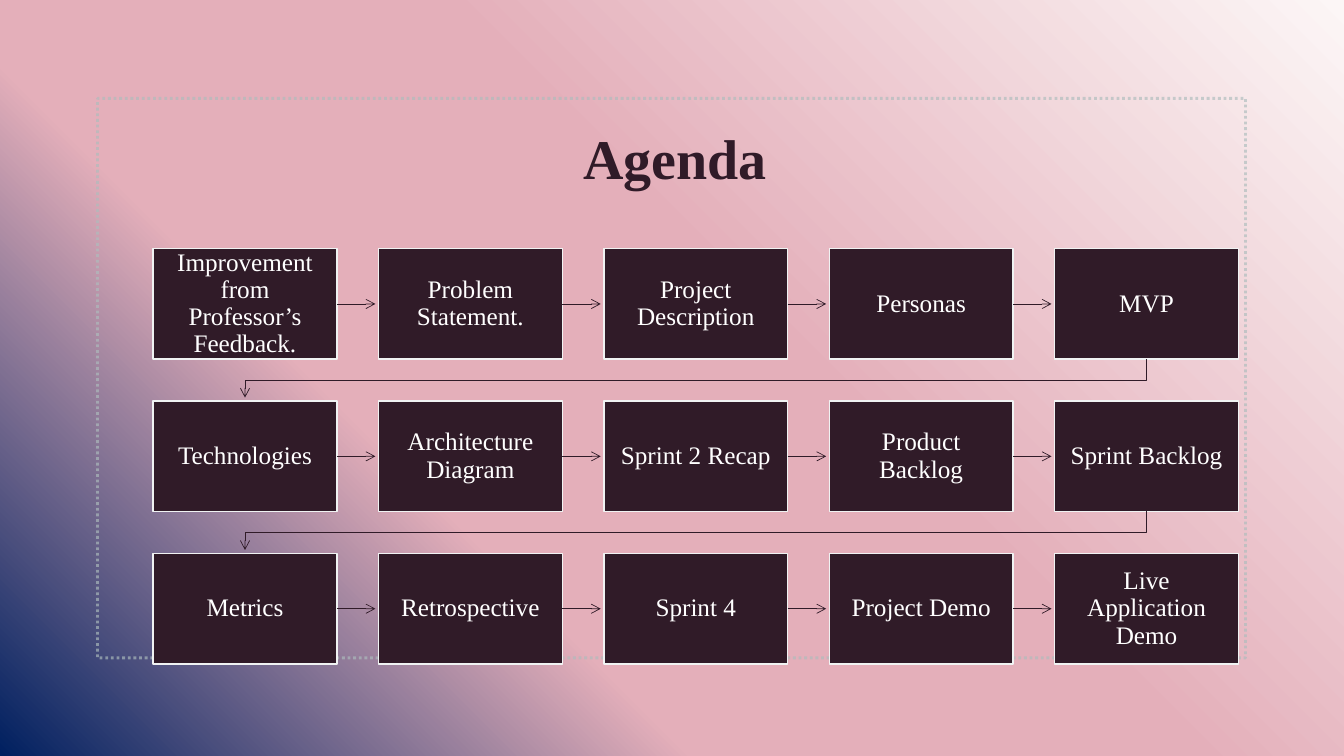
from copy import deepcopy

from pptx import Presentation
from pptx.dml.color import RGBColor
from pptx.enum.dml import MSO_LINE_DASH_STYLE as Dash
from pptx.enum.shapes import MSO_CONNECTOR as Connector, MSO_SHAPE as Shape
from pptx.enum.text import MSO_ANCHOR as Anchor, PP_ALIGN as Align
from pptx.oxml.ns import qn
from pptx.util import Cm, Pt
from lxml.etree import SubElement

PLUM = RGBColor(0x30, 0x1B, 0x28)
WHITE = RGBColor(0xFF, 0xFF, 0xFF)
PALE = RGBColor(0xF0, 0xF3, 0xF3)
GREY = RGBColor(0xAD, 0xBD, 0xBD)
CREAM = RGBColor(0xFC, 0xF6, 0xF6)
ROSE = RGBColor(0xE4, 0xAF, 0xBA)
NAVY = RGBColor(0x00, 0x20, 0x60)

AGENDA = [
    ["Improvement from Professor’s Feedback.", "Problem Statement.",
     "Project Description", "Personas", "MVP"],
    ["Technologies", "Architecture Diagram", "Sprint 2 Recap",
     "Product Backlog", "Sprint Backlog"],
    ["Metrics", "Retrospective", "Sprint 4", "Project Demo",
     "Live Application Demo"],
]
LEFT, TOP = 3.86, 6.27
WIDTH, HEIGHT = 4.63, 2.78
COLUMN_STEP, ROW_STEP = 5.68, 3.84
ARROW_LENGTH, ELBOW_DROP = 0.97, 0.53


def write(shape, text, size=18, color=WHITE, bold=False, inset=0.23, spacing=0.9):
    frame = shape.text_frame
    frame.word_wrap = True
    frame.vertical_anchor = Anchor.MIDDLE
    frame.margin_left = frame.margin_right = Cm(inset)
    frame.margin_top = frame.margin_bottom = Cm(inset)
    paragraph = frame.paragraphs[0]
    paragraph.alignment = Align.CENTER
    paragraph.line_spacing = spacing
    run = paragraph.add_run()
    run.text = text
    run.font.name = "Times New Roman"
    run.font.size = Pt(size)
    run.font.bold = bold
    run.font.color.rgb = color


class AgendaSlide:
    """Draws the agenda's elements on one slide in a shared style."""

    def __init__(self, slide):
        self.slide = slide
        self.shapes = slide.shapes

    def background(self, stops, angle):
        fill = self.slide.background.fill
        fill.gradient()
        fill.gradient_angle = angle
        stop_list = self.slide.element.find(".//" + qn("a:gsLst"))
        while len(stop_list) < len(stops):
            stop_list.append(deepcopy(stop_list[0]))
        for stop, (position, color) in zip(fill.gradient_stops, stops):
            stop.position = position
            stop.color.rgb = color

    def frame(self, left, top, width, height):
        shape = self.shapes.add_shape(
            Shape.RECTANGLE, Cm(left), Cm(top), Cm(width), Cm(height))
        shape.shadow.inherit = False
        shape.fill.background()
        shape.line.color.rgb = GREY
        shape.line.width = Pt(2)
        shape.line.dash_style = Dash.ROUND_DOT
        color = shape.element.spPr.find(".//" + qn("a:ln")).find(".//" + qn("a:srgbClr"))
        SubElement(color, qn("a:alpha")).set("val", "65000")

    def title(self, text, left, top, width, height):
        shape = self.shapes.add_textbox(Cm(left), Cm(top), Cm(width), Cm(height))
        write(shape, text, size=40, color=PLUM, bold=True, inset=0.13)

    def box(self, text, left, top):
        shape = self.shapes.add_shape(
            Shape.RECTANGLE, Cm(left), Cm(top), Cm(WIDTH), Cm(HEIGHT))
        shape.shadow.inherit = False
        shape.fill.solid()
        shape.fill.fore_color.rgb = PLUM
        shape.line.color.rgb = PALE
        shape.line.width = Pt(1)
        write(shape, text)
        return shape

    def arrow_style(self, shape):
        shape.line.color.rgb = PLUM
        shape.line.width = Pt(0.5)
        properties = shape.element.spPr
        SubElement(properties.find(qn("a:ln")), qn("a:tailEnd")).set("type", "arrow")
        if properties.find(qn("a:effectLst")) is None:
            SubElement(properties, qn("a:effectLst"))

    def arrow(self, box):
        start = box.left + box.width
        middle = box.top + box.height // 2
        connector = self.shapes.add_connector(
            Connector.STRAIGHT, start, middle, start + Cm(ARROW_LENGTH), middle)
        connector.begin_connect(box, 3)
        self.arrow_style(connector)

    def row_arrow(self, box):
        start = box.left + box.width // 2
        end = Cm(LEFT + WIDTH / 2)
        bottom = box.top + box.height
        turn = bottom + Cm(ELBOW_DROP)
        builder = self.shapes.build_freeform(start, bottom)
        builder.add_line_segments(
            [(start, turn), (end, turn), (end, bottom + Cm(ARROW_LENGTH))], close=False)
        shape = builder.convert_to_shape()
        shape.fill.background()
        self.arrow_style(shape)


def main():
    presentation = Presentation()
    presentation.slide_width = Cm(33.87)
    presentation.slide_height = Cm(19.05)
    agenda = AgendaSlide(presentation.slides.add_slide(presentation.slide_layouts[6]))
    agenda.background([(0, CREAM), (0.43, ROSE), (0.67, ROSE), (1, NAVY)], angle=225)
    agenda.frame(2.46, 2.48, 28.93, 14.1)
    agenda.title("Agenda", 2.64, 2.48, 28.75, 3.15)
    for row, topics in enumerate(AGENDA):
        for column, topic in enumerate(topics):
            box = agenda.box(topic, LEFT + column * COLUMN_STEP, TOP + row * ROW_STEP)
            if column < len(topics) - 1:
                agenda.arrow(box)
            elif row < len(AGENDA) - 1:
                agenda.row_arrow(box)
    presentation.save("out.pptx")


if __name__ == "__main__":
    main()
